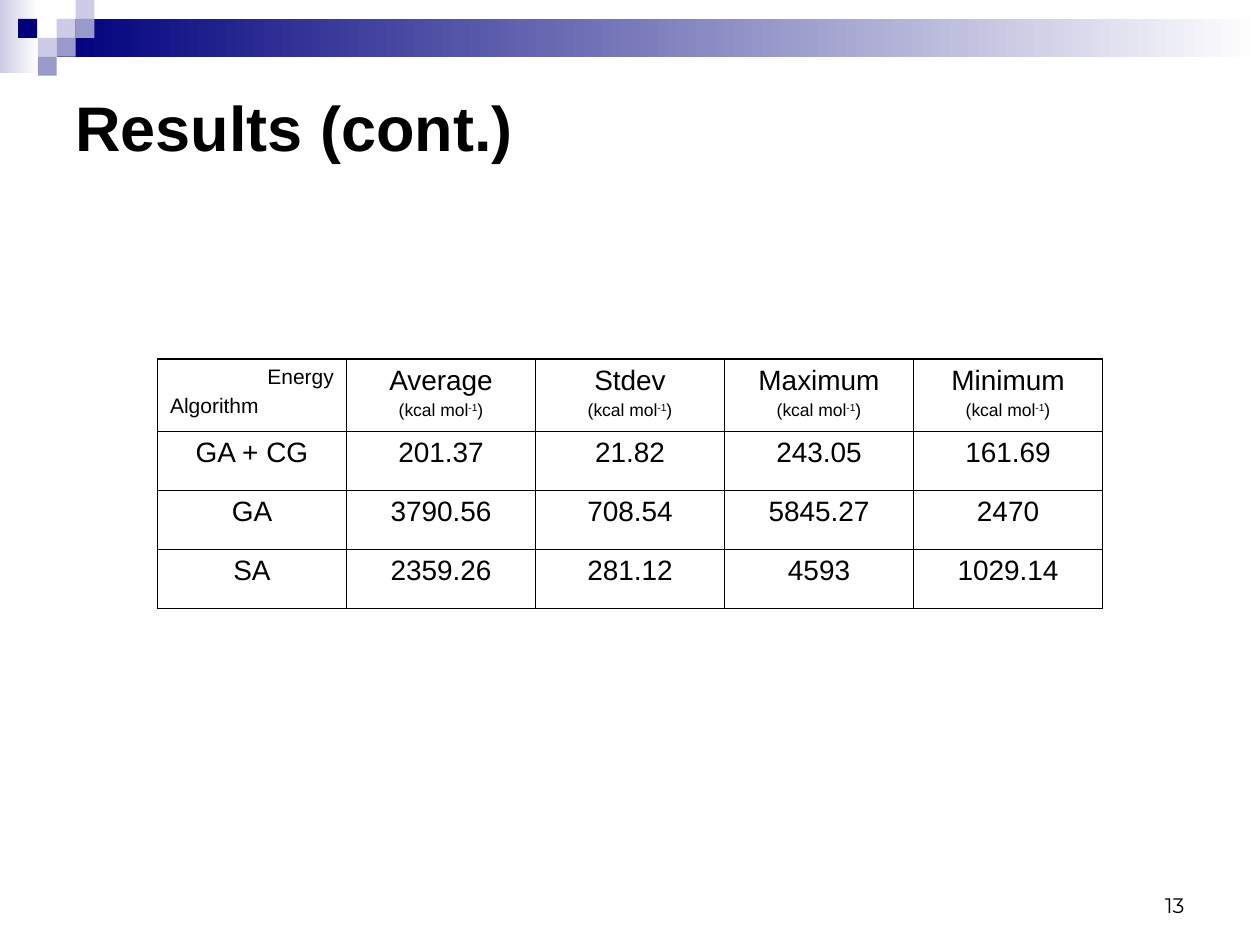
from lxml.etree import SubElement
from pptx import Presentation
from pptx.dml.color import RGBColor
from pptx.enum.shapes import MSO_SHAPE
from pptx.enum.text import MSO_ANCHOR, PP_ALIGN
from pptx.oxml.ns import qn
from pptx.util import Pt

COLORS = {
    "navy": "00007D",
    "mid": "9999CC",
    "pale": "CCCCE6",
    "white": "FFFFFF",
    "black": "000000",
}


def add_run(p, text, size, font="Arial", bold=False):
    r = p.add_run()
    r.text = text
    r.font.size = Pt(size)
    r.font.name = font
    r.font.bold = bold
    r.font.color.rgb = RGBColor.from_string(COLORS["black"])
    return r


def add_rect(left, top, width, height):
    sp = s.shapes.add_shape(MSO_SHAPE.RECTANGLE, Pt(left), Pt(top), Pt(width), Pt(height))
    sp.shadow.inherit = False
    sp.line.fill.background()
    return sp


prs = Presentation()
prs.slide_width, prs.slide_height = Pt(720), Pt(540)
s = prs.slides.add_slide(prs.slide_layouts[6])

bands = [
    (0, 0, 22, 42, "pale"),
    (32.4, 10.8, 687.6, 21.6, "navy"),
]
for left, top, width, height, color in bands:
    fill = add_rect(left, top, width, height).fill
    fill.gradient()
    fill.gradient_angle = 0
    for stop, name in zip(fill.gradient_stops, (color, "white")):
        stop.color.rgb = RGBColor.from_string(COLORS[name])

side = 10.8
squares = [
    (32.4, 10.8, "pale"),
    (43.2, 0, "pale"),
    (43.2, 10.8, "mid"),
    (21.6, 21.6, "pale"),
    (10.4, 10.8, "navy"),
    (32.4, 21.6, "mid"),
    (21.6, 32.4, "mid"),
]
for left, top, color in squares:
    sp = add_rect(left, top, side, side)
    sp.fill.solid()
    sp.fill.fore_color.rgb = RGBColor.from_string(COLORS[color])

texts = [
    ("Results (cont.)", 36, 18, 648, 108, MSO_ANCHOR.MIDDLE, PP_ALIGN.LEFT, 36, "Arial", True),
    ("13", 516, 492, 168, 36, MSO_ANCHOR.BOTTOM, PP_ALIGN.RIGHT, 12, "Montserrat", False),
]
for text, left, top, width, height, anchor, align, size, font, bold in texts:
    tf = s.shapes.add_textbox(Pt(left), Pt(top), Pt(width), Pt(height)).text_frame
    tf.word_wrap = True
    tf.vertical_anchor = anchor
    p = tf.paragraphs[0]
    p.alignment = align
    add_run(p, text, size, font, bold)

headers = ["Average", "Stdev", "Maximum", "Minimum"]
results = [
    ["GA + CG", "201.37", "21.82", "243.05", "161.69"],
    ["GA", "3790.56", "708.54", "5845.27", "2470"],
    ["SA", "2359.26", "281.12", "4593", "1029.14"],
]
rows, cols = len(results) + 1, len(headers) + 1
table = s.shapes.add_table(rows, cols, Pt(90), Pt(205.2), Pt(540), Pt(142.6)).table
table.first_row = False
table.horz_banding = False
for i, row in enumerate(table.rows):
    row.height = Pt(33.8 if i else 41.2)
for col in table.columns:
    col.width = Pt(108)

p = table.cell(0, 0).text_frame.paragraphs[0]
p.alignment = PP_ALIGN.RIGHT
add_run(p, "Energy", 12)
p = table.cell(0, 0).text_frame.add_paragraph()
p.space_before = Pt(3)
add_run(p, "Algorithm", 12)

for j, header in enumerate(headers, 1):
    tf = table.cell(0, j).text_frame
    p = tf.paragraphs[0]
    p.alignment = PP_ALIGN.CENTER
    add_run(p, header, 16)
    p = tf.add_paragraph()
    p.alignment = PP_ALIGN.CENTER
    p.space_before = Pt(2.5)
    add_run(p, "(kcal mol", 10)
    r = add_run(p, "-1", 10)
    r.font._element.set("baseline", "30000")
    add_run(p, ")", 10)

for i, values in enumerate(results, 1):
    for j, value in enumerate(values):
        p = table.cell(i, j).text_frame.paragraphs[0]
        p.alignment = PP_ALIGN.CENTER
        add_run(p, value, 16)

for i in range(rows):
    for j in range(cols):
        cell = table.cell(i, j)
        tcPr = cell._tc.get_or_add_tcPr()
        outer = {"L": j == 0, "R": j == cols - 1, "T": i == 0, "B": i == rows - 1}
        for edge, is_outer in outer.items():
            ln = SubElement(tcPr, qn(f"a:ln{edge}"), w=str(Pt(1.08 if is_outer else 0.45)))
            solid = SubElement(ln, qn("a:solidFill"))
            SubElement(solid, qn("a:srgbClr"), val=COLORS["black"])
        cell.fill.background()

prs.save("out.pptx")
